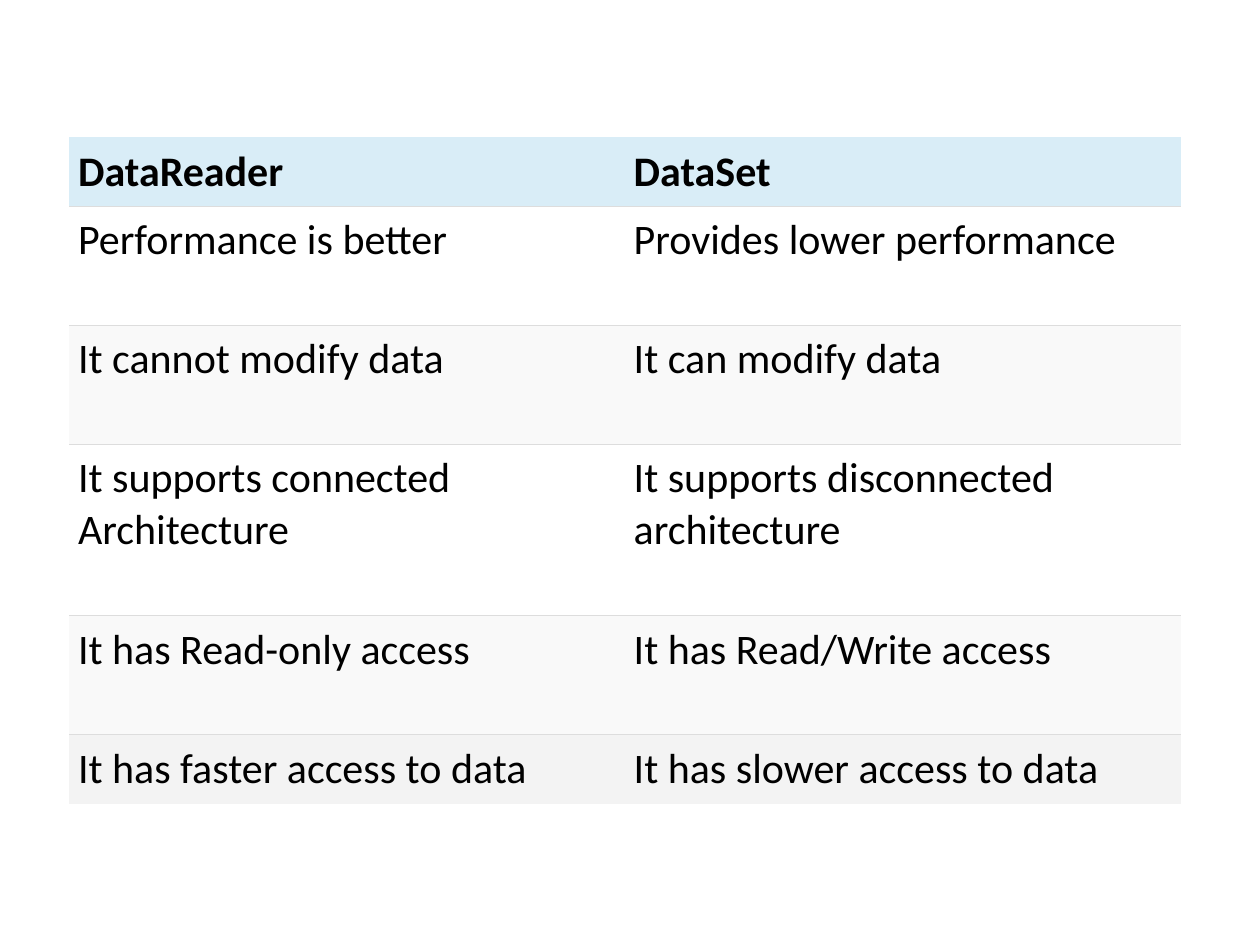
from dataclasses import dataclass

from lxml import etree
from pptx import Presentation
from pptx import util as u
from pptx.dml.color import RGBColor
from pptx.enum import text
from pptx.oxml.ns import qn


@dataclass(frozen=True)
class Theme:
    font: str = "Calibri"
    size: int = 24
    ink: str = "000000"
    rule: str = "DDDDDD"
    rule_width: float = 0.6
    header: str = "D9EDF7"
    plain: str = "FFFFFF"
    band: str = "F9F9F9"
    last: str = "F3F3F3"


@dataclass(frozen=True)
class Row:
    reader: str
    dataset: str
    height: float
    fill: str
    bold: bool = False


THEME = Theme()
SHORT, MEDIUM, TALL = 0.54, 0.945, 1.36
ROWS = [
    Row("DataReader", "DataSet", SHORT, THEME.header, True),
    Row("Performance is better", "Provides lower performance", MEDIUM, THEME.plain),
    Row("It cannot modify data", "It can modify data", MEDIUM, THEME.band),
    Row("It supports connected Architecture", "It supports disconnected architecture",
        TALL, THEME.plain),
    Row("It has Read-only access", "It has Read/Write access", MEDIUM, THEME.band),
    Row("It has faster access to data", "It has slower access to data", SHORT, THEME.last),
]
LEFT, TOP, COLUMN_WIDTH, INSET = 0.55, 1.09, 4.41, 0.07


def set_border(cell, side: str, visible: bool) -> None:
    ln = etree.SubElement(cell._tc.get_or_add_tcPr(), qn(f"a:{side}"))
    if not visible:
        etree.SubElement(ln, qn("a:noFill"))
        return
    ln.set("w", str(int(u.Pt(THEME.rule_width))))
    fill = etree.SubElement(ln, qn("a:solidFill"))
    etree.SubElement(fill, qn("a:srgbClr"), val=THEME.rule)


def fill_cell(cell, label: str, row: Row, first: bool, last: bool) -> None:
    borders = {"lnL": False, "lnR": False, "lnT": not first, "lnB": not last}
    for side, visible in borders.items():
        set_border(cell, side, visible)
    cell.fill.solid()
    cell.fill.fore_color.rgb = RGBColor.from_string(row.fill)
    for side in ("left", "right", "top", "bottom"):
        setattr(cell, f"margin_{side}", u.Inches(INSET))
    anchor = text.MSO_ANCHOR
    cell.vertical_anchor = anchor.MIDDLE if first else anchor.TOP
    r = cell.text_frame.paragraphs[0].add_run()
    r.text = label
    for name, value in {"name": THEME.font, "size": u.Pt(THEME.size),
                        "bold": row.bold}.items():
        setattr(r.font, name, value)
    r.font.color.rgb = RGBColor.from_string(THEME.ink)


def draw_comparison(s, rows: list[Row]) -> None:
    table = s.shapes.add_table(
        len(rows), 2, u.Inches(LEFT), u.Inches(TOP), u.Inches(2 * COLUMN_WIDTH),
        u.Inches(sum(row.height for row in rows))).table
    table.first_row = table.horz_banding = False
    for column in table.columns:
        column.width = u.Inches(COLUMN_WIDTH)
    for i, row in enumerate(rows):
        table.rows[i].height = u.Inches(row.height)
        for j, label in enumerate((row.reader, row.dataset)):
            fill_cell(table.cell(i, j), label, row, i == 0, i == len(rows) - 1)


def main() -> None:
    prs = Presentation()
    prs.slide_width, prs.slide_height = u.Inches(10), u.Inches(7.5)
    s = prs.slides.add_slide(prs.slide_layouts[6])
    draw_comparison(s, ROWS)
    prs.save("out.pptx")


if __name__ == "__main__":
    main()
